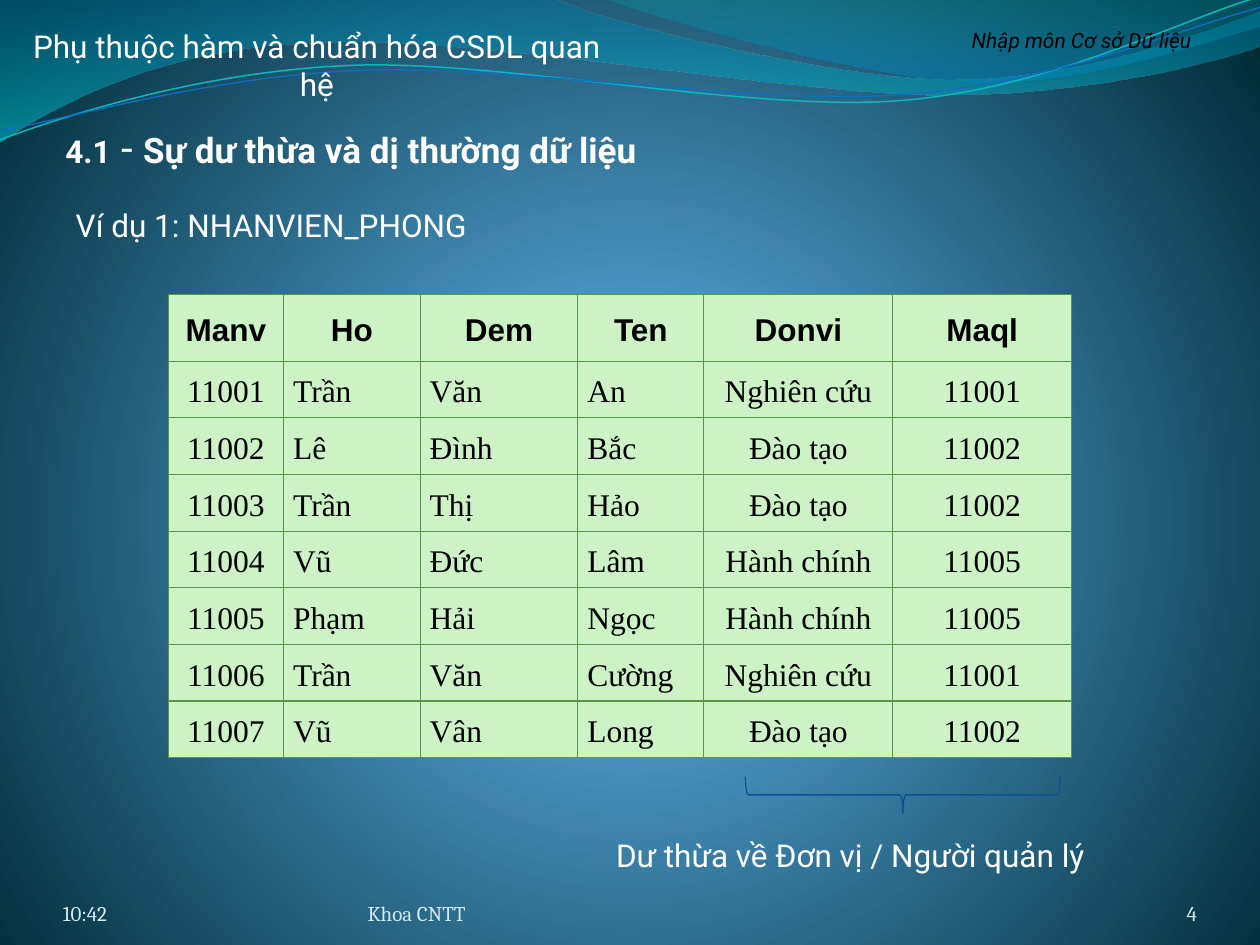
from dataclasses import dataclass
from typing import Optional

from lxml import etree
from pptx import Presentation
from pptx import util as u
from pptx.dml.color import RGBColor
from pptx.enum import shapes, text
from pptx.oxml import parse_xml
from pptx.oxml.ns import nsdecls, qn

GRID = 2.54
LEFT, CENTER, RIGHT = text.PP_ALIGN.LEFT, text.PP_ALIGN.CENTER, text.PP_ALIGN.RIGHT
TOP, BOTTOM = text.MSO_ANCHOR.TOP, text.MSO_ANCHOR.BOTTOM


@dataclass
class Run:
    text: str
    size: float = 18
    font: str = "Roboto"
    color: str = "FFFFFF"
    bold: bool = False
    italic: bool = False


@dataclass
class Label:
    box: tuple
    runs: list
    align: int = CENTER
    anchor: int = TOP
    inset: Optional[float] = None
    wrap: bool = True
    grow: bool = True


@dataclass
class Wave:
    start: tuple
    segments: list
    stops: Optional[list] = None
    line: str = ""
    width: float = 0.75


def rgb(color: str) -> RGBColor:
    return RGBColor.from_string(color)


def gradient(stops: list, direction: str):
    gs = "".join(
        f'<a:gs pos="{pos * 1000}"><a:srgbClr val="{color}">'
        f'<a:alpha val="{alpha * 1000}"/></a:srgbClr></a:gs>'
        for pos, color, alpha in stops
    )
    return parse_xml(
        f'<a:gradFill {nsdecls("a")} rotWithShape="1"><a:gsLst>{gs}</a:gsLst>{direction}</a:gradFill>'
    )


def replace_solid(parent, fill) -> None:
    parent.replace(parent.find(qn("a:solidFill")), fill)


def to_emu(x: float, y: float) -> tuple:
    return u.Cm(x * GRID), u.Cm(y * GRID)


def bend(sp, segments: list) -> None:
    lines = list(sp._element.iter(qn("a:lnTo")))
    for line, seg in zip(lines, segments):
        if len(seg) == 2:
            continue
        curve = etree.Element(qn("a:cubicBezTo"))
        for i in (0, 2, 4):
            x, y = to_emu(*seg[i:i + 2])
            etree.SubElement(curve, qn("a:pt"), x=str(x - sp.left), y=str(y - sp.top))
        line.getparent().replace(line, curve)


def add_wave(s, wave: Wave) -> None:
    fb = s.shapes.build_freeform(*to_emu(*wave.start))
    fb.add_line_segments([to_emu(*seg[-2:]) for seg in wave.segments], close=bool(wave.stops))
    sp = fb.convert_to_shape()
    bend(sp, wave.segments)
    sp.shadow.inherit = False
    if wave.stops:
        sp.fill.solid()
        replace_solid(sp._element.spPr, gradient(wave.stops, '<a:lin ang="5400000" scaled="1"/>'))
        sp.line.fill.background()
    else:
        sp.fill.background()
        sp.line.color.rgb = rgb(wave.line)
        sp.line.width = u.Pt(wave.width)


def add_run(p, run: Run) -> None:
    r = p.add_run()
    r.text = run.text
    f = r.font
    f.size, f.name, f.bold, f.italic = u.Pt(run.size), run.font, run.bold, run.italic
    f.color.rgb = rgb(run.color)


def add_label(s, label: Label) -> None:
    tf = s.shapes.add_textbox(*map(u.Cm, label.box)).text_frame
    tf.word_wrap = label.wrap
    tf.vertical_anchor = label.anchor
    if label.grow:
        tf.auto_size = text.MSO_AUTO_SIZE.SHAPE_TO_FIT_TEXT
    if label.inset is not None:
        tf.margin_left = tf.margin_right = tf.margin_top = tf.margin_bottom = u.Cm(label.inset)
    p = tf.paragraphs[0]
    p.alignment = label.align
    for run in label.runs:
        add_run(p, run)


def add_borders(cell, color: str, width: float) -> None:
    pr = cell._tc.get_or_add_tcPr()
    for i, side in enumerate(("lnL", "lnR", "lnT", "lnB")):
        ln = etree.Element(qn(f"a:{side}"), w=str(u.Pt(width)))
        etree.SubElement(etree.SubElement(ln, qn("a:solidFill")), qn("a:srgbClr"), val=color)
        pr.insert(i, ln)


def add_staff_table(s, rows: list, widths: list, aligns: list) -> None:
    body = len(rows) - 1
    heights = [1.35] + [8 / body] * body
    frame = s.shapes.add_table(
        len(rows), len(widths), u.Cm(3.39), u.Cm(5.93), u.Cm(sum(widths)), u.Cm(sum(heights))
    )
    tbl = frame.table
    for col, width in zip(tbl.columns, widths):
        col.width = u.Cm(width)
    for i, (row, height) in enumerate(zip(rows, heights)):
        tbl.rows[i].height = u.Cm(height)
        for j, value in enumerate(row):
            cell = tbl.cell(i, j)
            cell.fill.solid()
            cell.fill.fore_color.rgb = rgb("CCF2C5")
            cell.margin_left = cell.margin_right = u.Cm(0.19)
            cell.margin_top = cell.margin_bottom = 0
            cell.vertical_anchor = text.MSO_ANCHOR.MIDDLE
            add_borders(cell, "5B9747", 0.75)
            p = cell.text_frame.paragraphs[0]
            p.alignment = aligns[j] if i else CENTER
            p.line_spacing = 1.15
            font = "Times New Roman" if i else "Arial"
            add_run(p, Run(value, font=font, color="000000", bold=i == 0))


def footer(left: float, width: float, value: str, align: int = LEFT) -> Label:
    run = Run(value, 12, "Cambria", "D1EAEE")
    return Label((left, 17.65, width, 1.02), [run], align, BOTTOM, 0, grow=False)


WAVES = [
    Wave((-0.01, -0.01), [(4.4, -0.01), (4.76, 0.17, 6.64, 0.63, 7.58, 0.63),
                          (8.53, 0.63, 9.58, 0.26, 10, 0.09), (10.01, 0.36),
                          (9.83, 0.44, 8.7, 0.76, 7.46, 0.75), (6.22, 0.75, 3.82, 0.28, 2.57, 0.34),
                          (1.29, 0.36, 0.46, 0.83, -0.01, 1.13)],
         stops=[(0, "0074A1", 45), (100, "00C6CF", 55)]),
    Wave((4.79, -0.01), [(5.09, 0.11, 6.82, 0.62, 7.69, 0.65), (8.56, 0.69, 9.61, 0.32, 10, 0.21), (10, -0.01)],
         stops=[(0, "00A1A9", 30), (80, "008BBF", 45)]),
    Wave((0, 1.11), [(0.48, 0.93, 1.58, 0.57, 2.77, 0.52), (3.95, 0.47, 5.93, 0.89, 7.13, 0.8),
                     (8.33, 0.71, 9.38, 0.15, 9.98, -0.02)], line="0AB8BF", width=0.85),
    Wave((0, 1.04), [(0.47, 0.96, 1.64, 0.61, 2.83, 0.56), (4.03, 0.51, 5.97, 0.84, 7.17, 0.75),
                     (8.36, 0.67, 9.41, 0.21, 10, 0.06)], line="0F6FC6"),
]

LABELS = [
    Label((18.21, 0.43, 7.19, 0.76), [Run("Nhập môn Cơ sở Dữ liệu", 12, color="000000", italic=True)]),
    Label((0, 0.43, 12.78, 1.02), [Run("Phụ thuộc hàm và chuẩn hóa CSDL quan hệ")], wrap=False),
    Label((1.07, 2.33, 17.78, 1.27),
          [Run("4.1", bold=True), Run(" - ", 24), Run("Sự dư thừa và dị thường dữ liệu", 20, bold=True)], LEFT),
    footer(1.27, 5.92, "10:42"),
    footer(7.41, 9.32, "Khoa CNTT"),
    footer(22.02, 2.11, "4", RIGHT),
    Label((1.27, 4.02, 8.4, 1.02), [Run("Ví dụ 1: NHANVIEN_PHONG")], wrap=False),
    Label((10.37, 16.73, 13.55, 1.02), [Run("Dư thừa về Đơn vị / Người quản lý")]),
]

STAFF = [
    ("Manv", "Ho", "Dem", "Ten", "Donvi", "Maql"),
    ("11001", "Trần", "Văn", "An", "Nghiên cứu", "11001"),
    ("11002", "Lê", "Đình", "Bắc", "Đào tạo", "11002"),
    ("11003", "Trần", "Thị", "Hảo", "Đào tạo", "11002"),
    ("11004", "Vũ", "Đức", "Lâm", "Hành chính", "11005"),
    ("11005", "Phạm", "Hải", "Ngọc", "Hành chính", "11005"),
    ("11006", "Trần", "Văn", "Cường", "Nghiên cứu", "11001"),
    ("11007", "Vũ", "Vân", "Long", "Đào tạo", "11002"),
]


def main() -> None:
    prs = Presentation()
    prs.slide_width, prs.slide_height = u.Cm(25.4), u.Cm(19.05)
    s = prs.slides.add_slide(prs.slide_layouts[6])
    s.background.fill.solid()
    glow = '<a:path path="circle"><a:fillToRect l="10000" t="110000" r="10000" b="100000"/></a:path>'
    stops = [(0, "4AA0D6", 100), (25, "4C98C7", 100), (100, "002C38", 100)]
    replace_solid(s._element.cSld.bg.bgPr, gradient(stops, glow))
    for wave in WAVES:
        add_wave(s, wave)
    for label in LABELS:
        add_label(s, label)
    add_staff_table(s, STAFF, [2.33, 2.75, 3.18, 2.54, 3.81, 3.6], [CENTER] + [LEFT] * 3 + [CENTER] * 2)
    sp = s.shapes.add_shape(shapes.MSO_SHAPE.RIGHT_BRACE, *map(u.Cm, (17.83, 12.85, 0.74, 6.35)))
    sp.rotation = 90
    sp.shadow.inherit = False
    sp.fill.background()
    sp.line.color.rgb = rgb("095295")
    sp.line.width = u.Pt(0.75)
    prs.save("out.pptx")


if __name__ == "__main__":
    main()
